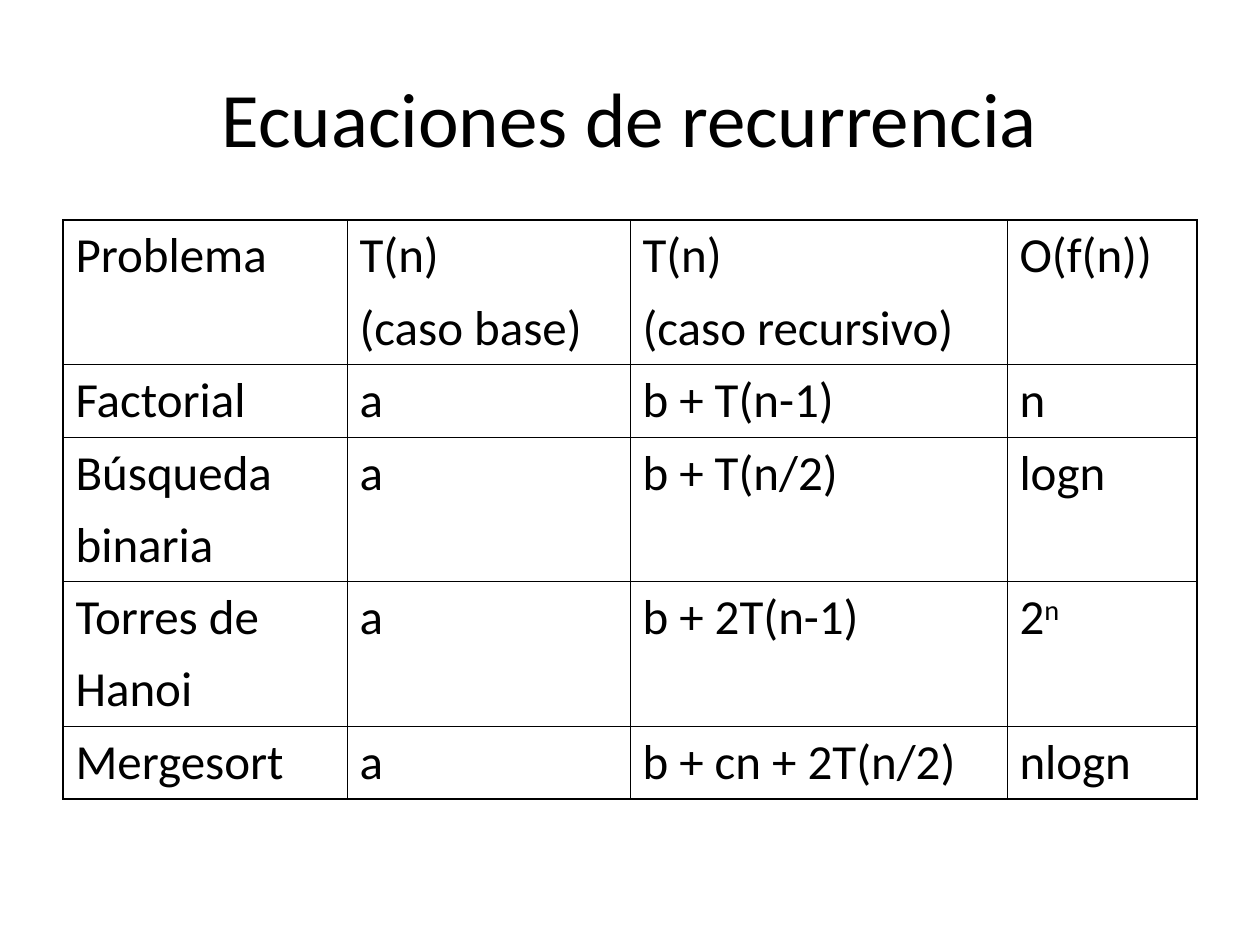
from lxml import etree
from pptx import Presentation
from pptx import util as u
from pptx.dml.color import RGBColor
from pptx.enum import text
from pptx.oxml import ns

PX = 914400 / 126
BLACK = RGBColor(0x00, 0x00, 0x00)
FONT = "Calibri"
OUTER, INNER = u.Pt(1.08), u.Pt(0.45)

COLUMNS = [284, 283, 377, 190]
LINE_HEIGHTS = {1: 72, 2: 142}
ROWS = [
    ["Problema", "T(n)\n(caso base)", "T(n)\n(caso recursivo)", "O(f(n))"],
    ["Factorial", "a", "b + T(n-1)", "n"],
    ["Búsqueda\nbinaria", "a", "b + T(n/2)", "logn"],
    ["Torres de\nHanoi", "a", "b + 2T(n-1)", "2"],
    ["Mergesort", "a", "b + cn + 2T(n/2)", "nlogn"],
]
EXPONENT_CELL = (3, 3)


def px(length):
    return u.Emu(round(length * PX))


def add_border(cell, side, width):
    props = cell._tc.get_or_add_tcPr()
    line = etree.SubElement(props, ns.qn(f"a:ln{side}"), w=str(width))
    fill = etree.SubElement(line, ns.qn("a:solidFill"))
    etree.SubElement(fill, ns.qn("a:srgbClr"), val=str(BLACK))


prs = Presentation()
prs.slide_width, prs.slide_height = px(1260), px(945)
slide = prs.slides.add_slide(prs.slide_layouts[5])

title = slide.shapes.title
title.left, title.top, title.width, title.height = px(63), px(38), px(1134), px(157)
title.text_frame.text = "Ecuaciones de recurrencia"
title.text_frame.vertical_anchor = text.MSO_ANCHOR.MIDDLE
heading = title.text_frame.paragraphs[0]
heading.alignment = text.PP_ALIGN.CENTER
heading.runs[0].font.size = u.Pt(44)
heading.runs[0].font.name = FONT
heading.runs[0].font.color.rgb = BLACK

heights = [LINE_HEIGHTS[max(entry.count("\n") + 1 for entry in row)] for row in ROWS]
recurrences = slide.shapes.add_table(
    len(ROWS), len(COLUMNS), px(63), px(220), px(sum(COLUMNS)), px(sum(heights))
).table
recurrences.first_row = recurrences.horz_banding = False
for column, width in zip(recurrences.columns, COLUMNS):
    column.width = px(width)
for row, height in zip(recurrences.rows, heights):
    row.height = px(height)

last_row, last_column = len(ROWS) - 1, len(COLUMNS) - 1
for r, row in enumerate(ROWS):
    for c, entry in enumerate(row):
        cell = recurrences.cell(r, c)
        cell.text_frame.text = entry
        if (r, c) == EXPONENT_CELL:
            exponent = cell.text_frame.paragraphs[0].add_run()
            exponent.text = "n"
            exponent.font._element.set("baseline", "30000")
        for paragraph in cell.text_frame.paragraphs:
            paragraph.space_before = u.Pt(7)
            for run in paragraph.runs:
                run.font.size = u.Pt(28)
                run.font.name = FONT
                run.font.color.rgb = BLACK
        on_edge = {"L": c == 0, "R": c == last_column, "T": r == 0, "B": r == last_row}
        for side, outer in on_edge.items():
            add_border(cell, side, OUTER if outer else INNER)
        cell.fill.background()

prs.save("out.pptx")
